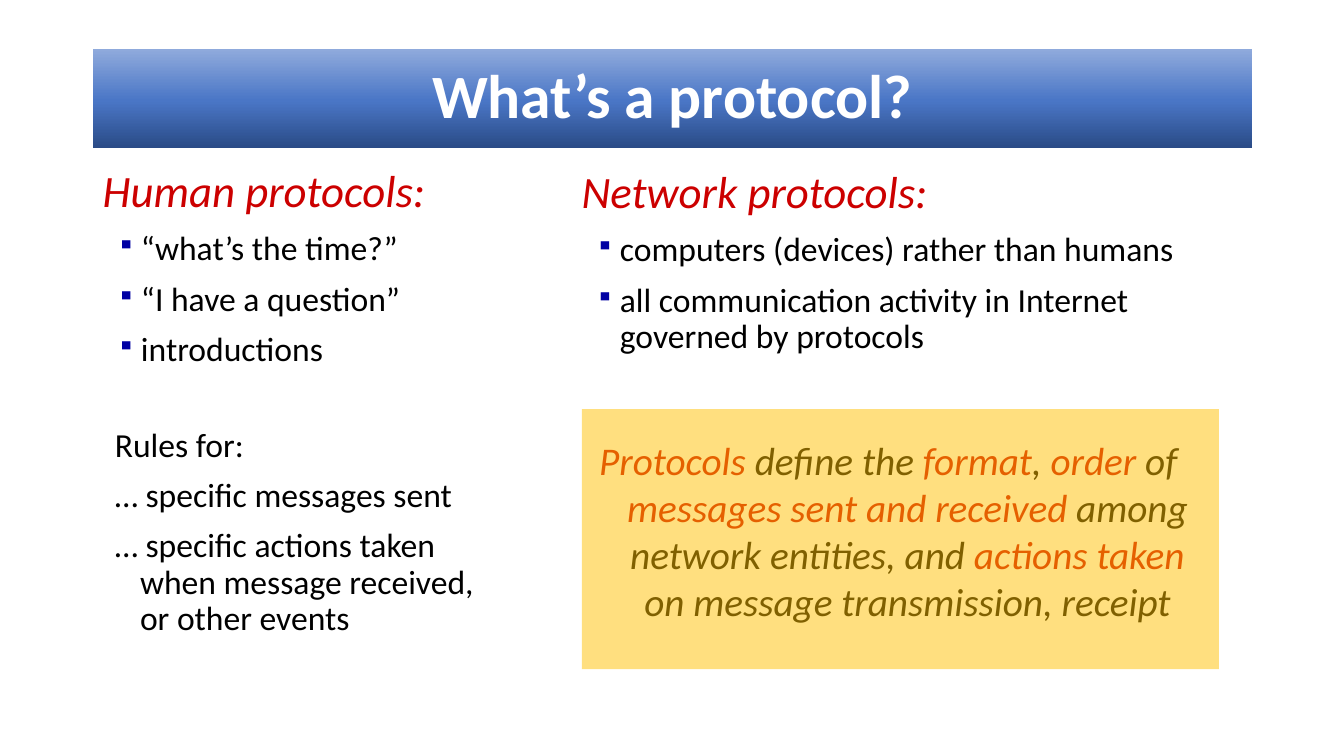
from lxml.etree import SubElement
from pptx import Presentation
from pptx.dml.color import RGBColor
from pptx.enum.shapes import MSO_SHAPE as Shape
from pptx.enum.text import MSO_ANCHOR as Anchor, PP_ALIGN as Align
from pptx.oxml.ns import qn
from pptx.util import Inches, Pt

COLORS = {
    "white": "FFFFFF",
    "black": "000000",
    "red": "CC0000",
    "bullet": "0000A3",
    "amber": "FFC000",
    "navy": "2A4B86",
    "blue": "4A76C6",
    "sky": "8FAADC",
}
HEADING = {"size": Pt(32), "italic": True}
BODY = {"size": Pt(24)}
DEFINITION = {"size": Pt(28), "italic": True}
TITLE = {"size": Pt(44), "bold": True}
SPACED = {"line_spacing": 0.9, "space_before": Pt(10)}


def rgb(name):
    return RGBColor.from_string(COLORS[name])


def set_values(target, values):
    for name, value in values.items():
        setattr(target, name, value)


def add_element(parent, tag, **attributes):
    return SubElement(parent, qn(tag), attributes)


def add_rectangle(shapes, left, top, width, height):
    shape = shapes.add_shape(
        Shape.RECTANGLE, Inches(left), Inches(top), Inches(width), Inches(height)
    )
    shape.shadow.inherit = False
    shape.line.fill.background()
    return shape


def add_text_frame(shapes, left, top, width, height):
    box = shapes.add_textbox(Inches(left), Inches(top), Inches(width), Inches(height))
    box.text_frame.word_wrap = True
    return box.text_frame


def add_paragraph(frame, runs, font, layout, hanging=None, bullet=False):
    first = not frame.paragraphs[0].runs
    paragraph = frame.paragraphs[0] if first else frame.add_paragraph()
    properties = paragraph._p.get_or_add_pPr()
    if hanging:
        margin, indent = hanging
        properties.set("marL", str(Inches(margin)))
        properties.set("indent", str(Inches(indent)))
    if bullet:
        bullet_color = add_element(properties, "a:buClr")
        add_element(bullet_color, "a:srgbClr", val=COLORS["bullet"])
        add_element(properties, "a:buSzPct", val="75000")
        add_element(properties, "a:buChar", char="▪")
    set_values(paragraph, layout)
    if first:
        paragraph.space_before = Pt(0)
    for text, color in runs:
        run = paragraph.add_run()
        run.text = text
        set_values(run.font, {"name": "Calibri", **font})
        run.font.color.rgb = rgb(color)


def add_title(shapes, text):
    banner = add_rectangle(shapes, 0.92, 0.49, 11.5, 0.98)
    banner.fill.gradient()
    banner.fill.gradient_angle = 90
    stops = banner._element.spPr.find(qn("a:gradFill")).find(qn("a:gsLst"))
    stops.clear()
    for position, color in ((0, "navy"), (48, "blue"), (100, "sky")):
        stop = add_element(stops, "a:gs", pos=str(position * 1000))
        add_element(stop, "a:srgbClr", val=COLORS[color])
    banner.text_frame.vertical_anchor = Anchor.MIDDLE
    layout = {"alignment": Align.CENTER, "line_spacing": 0.9}
    add_paragraph(banner.text_frame, [(text, "white")], TITLE, layout)


def add_bullet_list(shapes, position, heading, items):
    frame = add_text_frame(shapes, *position)
    add_paragraph(frame, [(heading, "red")], HEADING, SPACED, (0.25, -0.25))
    for item in items:
        add_paragraph(frame, [(item, "black")], BODY, SPACED, (0.38, -0.24), True)


def add_rules(shapes, position, lines):
    frame = add_text_frame(shapes, *position)
    for line in lines:
        add_paragraph(frame, [(line, "black")], BODY, SPACED, (0.25, -0.25))


def add_definition(shapes, runs):
    group = shapes.add_group_shape()
    frame = add_text_frame(group.shapes, 5.68, 4.28, 6.26, 2.58)
    layout = {"alignment": Align.CENTER}
    add_paragraph(frame, runs, DEFINITION, layout, (0.38, -0.38))
    panel = add_rectangle(group.shapes, 5.77, 4.06, 6.32, 2.58)
    panel.fill.solid()
    panel.fill.fore_color.rgb = rgb("amber")
    fill_color = panel._element.spPr.find(qn("a:solidFill")).find(qn("a:srgbClr"))
    add_element(fill_color, "a:alpha", val="50000")


def main():
    presentation = Presentation()
    presentation.slide_width = Inches(13.33)
    presentation.slide_height = Inches(7.5)
    slide = presentation.slides.add_slide(presentation.slide_layouts[6])
    shapes = slide.shapes

    add_title(shapes, "What’s a protocol?")
    add_bullet_list(
        shapes,
        (0.92, 1.63, 3.92, 5.08),
        "Human protocols:",
        ["“what’s the time?”", "“I have a question”", "introductions"],
    )
    add_bullet_list(
        shapes,
        (5.67, 1.64, 6.32, 2.83),
        "Network protocols:",
        [
            "computers (devices) rather than humans",
            "all communication activity in Internet governed by protocols",
        ],
    )
    add_definition(
        shapes,
        [
            ("Protocols", "red"),
            (" define the ", "black"),
            ("format", "red"),
            (", ", "black"),
            ("order", "red"),
            (" of ", "black"),
            ("messages sent and received", "red"),
            (" among network entities, and ", "black"),
            ("actions taken", "red"),
            (" on message transmission, receipt", "black"),
        ],
    )
    add_rules(
        shapes,
        (1.04, 4.2, 3.92, 2.26),
        [
            "Rules for:",
            "… specific messages sent",
            "… specific actions taken when message received, or other events",
        ],
    )
    presentation.save("out.pptx")


if __name__ == "__main__":
    main()
